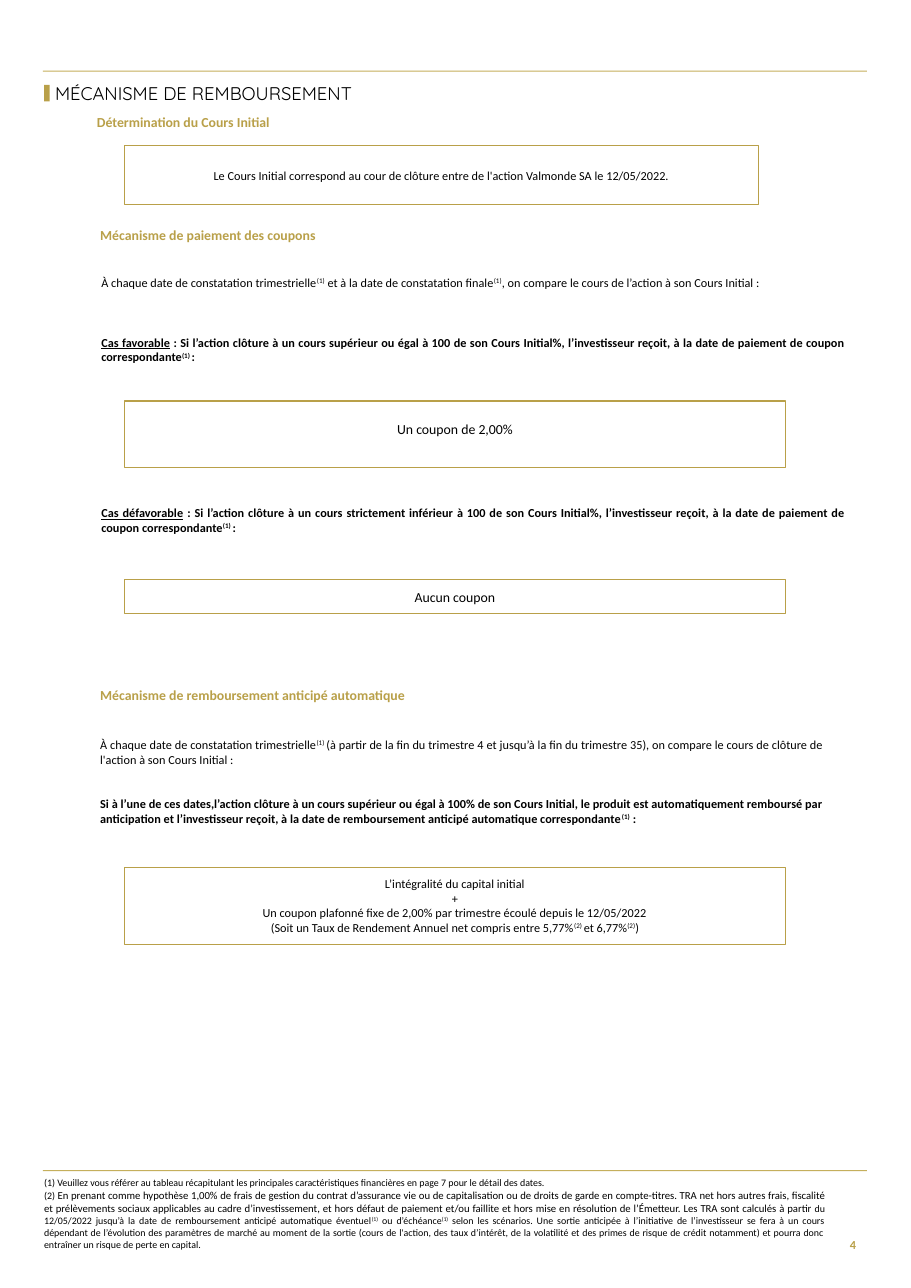
from dataclasses import dataclass

from pptx import Presentation
from pptx.dml.color import RGBColor
from pptx.enum import shapes, text
from pptx.util import Emu, Pt

PX = 9144  # EMU per px, 100 px to the inch
LEFT, RIGHT = text.PP_ALIGN.LEFT, text.PP_ALIGN.RIGHT
CENTER, JUSTIFY = text.PP_ALIGN.CENTER, text.PP_ALIGN.JUSTIFY
MIDDLE = text.MSO_ANCHOR.MIDDLE


@dataclass(frozen=True)
class Theme:
    gold: RGBColor = RGBColor(0xB9, 0xA0, 0x49)
    rule: RGBColor = RGBColor(0xC5, 0xAF, 0x5C)
    ink: RGBColor = RGBColor(0, 0, 0)
    body_font: str = "Calibri"
    title_font: str = "Quicksand"
    title: float = 12
    heading: float = 9
    body: float = 8
    note: float = 6.5
    note_large: float = 7


THEME = Theme()


def px(*lengths):
    return [Emu(length * PX) for length in lengths]


# Spans: plain strings, or (text, style) pairs
def sup(words):
    return words, "superscript"


def underlined(words):
    return words, "underline"


def large_note(words):
    return words, "large note"


def add_spans(para, spans):
    for item in spans:
        words, style = (item, None) if isinstance(item, str) else item
        span = para.add_run()
        span.text = words
        if style == "superscript":
            span._r.get_or_add_rPr().set("baseline", "30000")
        elif style == "underline":
            span.font.underline = True
        elif style == "large note":
            span.font.size = Pt(THEME.note_large)


def write(box, paragraphs, size=THEME.body, color=THEME.ink, bold=False,
          font=THEME.body_font, align=JUSTIFY, anchor=text.MSO_ANCHOR.TOP,
          insets=(0, 0, 0, 0), line_spacing=None):
    frame = box.text_frame
    frame.word_wrap = True
    frame.vertical_anchor = anchor
    (frame.margin_left, frame.margin_top,
     frame.margin_right, frame.margin_bottom) = px(*insets)
    for index, spans in enumerate(paragraphs):
        para = frame.add_paragraph() if index else frame.paragraphs[0]
        para.alignment = align
        para.line_spacing = line_spacing
        para.font.name = font
        para.font.size = Pt(size)
        para.font.color.rgb = color
        para.font.bold = bold
        add_spans(para, spans)
    return frame


def add_text(page, place, *paragraphs, **style):
    return write(page.shapes.add_textbox(*px(*place)), paragraphs, **style)


def add_heading(page, left, top, words):
    add_text(page, (left, top, 660, 18), [words],
             size=THEME.heading, color=THEME.gold, bold=True, align=LEFT)


def add_rectangle(page, place):
    box = page.shapes.add_shape(shapes.MSO_SHAPE.RECTANGLE, *px(*place))
    box.shadow.inherit = False
    return box


def add_bar(page, place, color):
    bar = add_rectangle(page, place)
    bar.fill.solid()
    bar.fill.fore_color.rgb = color
    bar.line.fill.background()


def add_frame(page, place, *paragraphs, line=0.75, insets=(12, 8, 12, 8), **style):
    box = add_rectangle(page, place)
    box.fill.background()
    box.line.color.rgb = THEME.gold
    box.line.width = Pt(line)
    write(box, paragraphs, align=CENTER, anchor=MIDDLE, insets=insets, **style)


def add_case(page, top, name, condition):
    add_text(page, (92, top, 676, 27),
             [underlined(name),
              f" : Si l’action clôture à un cours {condition} à 100 de son Cours "
              "Initial%, l’investisseur reçoit, à la date de paiement de coupon "
              "correspondante", sup("(1) "), ":"], bold=True)


def add_page_furniture(page):
    for top in (64, 1062):
        add_bar(page, (39, top, 748, 1), THEME.rule)
    add_text(page, (748, 1109, 39, 42), ["4"], color=THEME.gold, bold=True,
             align=RIGHT, anchor=MIDDLE, insets=(10, 5, 10, 5))
    add_bar(page, (40, 77, 5, 15), THEME.gold)
    add_text(page, (50, 73, 421, 25), ["MÉCANISME DE REMBOURSEMENT"],
             size=THEME.title, font=THEME.title_font, align=LEFT,
             anchor=MIDDLE, line_spacing=0.9)


def add_initial_price(page):
    add_heading(page, 88, 103, "Détermination du Cours Initial")
    add_frame(page, (113, 132, 576, 54),
              ["Le Cours Initial correspond au cour de clôture entre de l'action "
               "Valmonde SA le 12/05/2022."], line=0.5)


def add_coupons(page):
    add_heading(page, 91, 206, "Mécanisme de paiement des coupons")
    add_text(page, (92, 250, 657, 13),
             ["À chaque date de constatation trimestrielle", sup("(1)"),
              " et à la date de constatation finale", sup("(1)"),
              ", on compare le cours de l’action à son Cours Initial :"])
    add_case(page, 304, "Cas favorable", "supérieur ou égal")
    add_frame(page, (113, 364, 600, 60), ["Un coupon de 2,00%"],
              size=THEME.heading, insets=(12, 15, 12, 22), line_spacing=0.9)
    add_case(page, 459, "Cas défavorable", "strictement inférieur")
    add_frame(page, (113, 526, 600, 31), ["Aucun coupon"], size=THEME.heading)


def add_early_redemption(page):
    add_heading(page, 91, 623, "Mécanisme de remboursement anticipé automatique")
    frame = add_text(
        page, (91, 669, 657, 81),
        ["À chaque date de constatation trimestrielle", sup("(1) "),
         "(à partir de la fin du trimestre 4 et jusqu’à la fin du trimestre 35), "
         "on compare le cours de clôture de l'action à son Cours Initial :"],
        ["Si à l’une de ces dates,l’action clôture à un cours supérieur ou égal à "
         "100% de son Cours Initial, le produit est automatiquement remboursé par "
         "anticipation et l’investisseur reçoit, à la date de remboursement anticipé "
         "automatique correspondante", sup("(1)"), " :"])
    condition = frame.paragraphs[1]
    condition.font.bold = True
    condition.space_before = Pt(19.5)
    add_frame(page, (113, 787, 600, 70),
              ["L’intégralité du capital initial"],
              ["+"],
              ["Un coupon plafonné fixe de 2,00% par trimestre écoulé depuis le "
               "12/05/2022"],
              ["(Soit un Taux de Rendement Annuel net compris entre 5,77%",
               sup("(2) "), "et 6,77%", sup("(2)"), ")"], line=0.5)


def add_footnotes(page):
    add_text(
        page, (40, 1068, 709, 68),
        ["(1) Veuillez vous référer au tableau récapitulant les principales "
         "caractéristiques financières en page 7 pour le détail des dates."],
        ["(2) ",
         large_note(
             "En prenant comme hypothèse 1,00% de frais de gestion du contrat "
             "d’assurance vie ou de capitalisation ou de droits de garde en "
             "compte-titres. TRA net hors autres frais, fiscalité et prélèvements "
             "sociaux applicables au cadre d’investissement, et hors défaut de "
             "paiement et/ou faillite et hors mise en résolution de l’Émetteur. "
             "Les TRA sont calculés à partir "),
         "du 12/05/2022 jusqu’à la date de remboursement anticipé automatique "
         "éventuel", sup("(1)"), " ou d’échéance", sup("(1)"),
         " selon les scénarios. Une sortie anticipée à l’initiative de "
         "l’investisseur se fera à un cours dépendant de l’évolution des paramètres "
         "de marché au moment de la sortie (cours de l'action, des taux d’intérêt, "
         "de la volatilité et des primes de risque de crédit notamment) et pourra "
         "donc entraîner un risque de perte en capital."],
        size=THEME.note)


def main():
    deck = Presentation()
    deck.slide_width, deck.slide_height = px(827, 1169)
    page = deck.slides.add_slide(deck.slide_layouts[6])
    add_page_furniture(page)
    add_initial_price(page)
    add_coupons(page)
    add_early_redemption(page)
    add_footnotes(page)
    deck.save("out.pptx")


if __name__ == "__main__":
    main()
